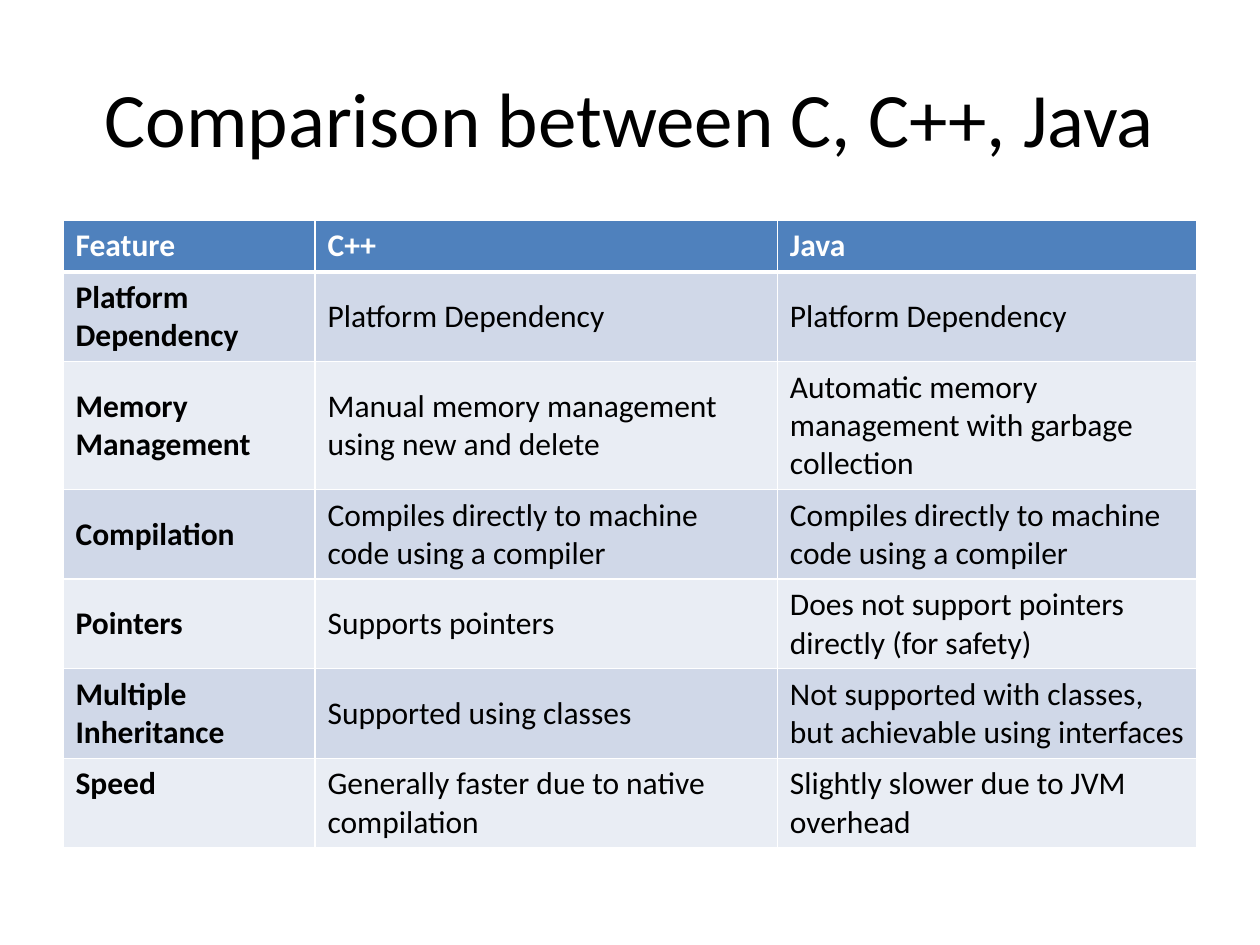
"""Build a slide that compares programming language features in a table."""
import pptx
import pptx.dml.color
import pptx.enum.text
import pptx.oxml
import pptx.oxml.ns
import pptx.util

Inches = pptx.util.Inches
RGBColor = pptx.dml.color.RGBColor
ANCHOR = pptx.enum.text.MSO_ANCHOR

BLACK = RGBColor(0x00, 0x00, 0x00)
WHITE = RGBColor(0xFF, 0xFF, 0xFF)
HEADER_BLUE = RGBColor(0x4F, 0x81, 0xBD)
BAND_DARK = RGBColor(0xD0, 0xD8, 0xE8)
BAND_LIGHT = RGBColor(0xE9, 0xED, 0xF4)

FONT = "Calibri"
COLUMN_WIDTHS = (2, 3.67, 3.33)
ROW_HEIGHT = 0.41
THIN, THICK = 1, 3

FEATURES = (
    ("Feature", "C++", "Java"),
    ("Platform Dependency", "Platform Dependency", "Platform Dependency"),
    ("Memory Management", "Manual memory management using new and delete",
     "Automatic memory management with garbage collection"),
    ("Compilation", "Compiles directly to machine code using a compiler",
     "Compiles directly to machine code using a compiler"),
    ("Pointers", "Supports pointers",
     "Does not support pointers directly (for safety)"),
    ("Multiple Inheritance", "Supported using classes",
     "Not supported with classes, but achievable using interfaces"),
    ("Speed", "Generally faster due to native compilation",
     "Slightly slower due to JVM overhead"),
)
TOP_ANCHORED = {(0, 0), (0, 1), (0, 2), (5, 0), (5, 2), (6, 0), (6, 1), (6, 2)}


def apply_format(target, values):
    """Set each named attribute of the target."""
    for attribute, value in values.items():
        setattr(target, attribute, value)


def format_font(font, size, color, bold):
    """Apply the slide's typeface with a size, colour and weight."""
    apply_format(font, {"name": FONT, "size": pptx.util.Pt(size), "bold": bold})
    font.color.rgb = color


def add_title(slide, wording):
    """Place and format the title placeholder."""
    title = slide.shapes.title
    apply_format(title, {"left": Inches(0.5), "top": Inches(0.3),
                         "width": Inches(9), "height": Inches(1.25)})
    title.text_frame.text = wording
    title.text_frame.vertical_anchor = ANCHOR.MIDDLE
    heading = title.text_frame.paragraphs[0]
    heading.alignment = pptx.enum.text.PP_ALIGN.CENTER
    format_font(heading.runs[0].font, 44, BLACK, False)


def set_borders(cell, top, bottom):
    """Draw white borders around a cell, with given top and bottom widths."""
    properties = cell._tc.get_or_add_tcPr()
    for side, width in (("L", THIN), ("R", THIN), ("T", top), ("B", bottom)):
        properties.append(pptx.oxml.parse_xml(
            f'<a:ln{side} {pptx.oxml.ns.nsdecls("a")} w="{pptx.util.Pt(width)}">'
            f'<a:solidFill><a:srgbClr val="{WHITE}"/></a:solidFill></a:ln{side}>'))


def fill_cell(cell, wording, row, column):
    """Write one cell and style it by its place in the table."""
    is_header = row == 0
    set_borders(cell, THICK if row == 1 else THIN, THICK if is_header else THIN)
    cell.fill.solid()
    band = BAND_DARK if row % 2 else BAND_LIGHT
    cell.fill.fore_color.rgb = HEADER_BLUE if is_header else band
    cell.text = wording
    cell.vertical_anchor = ANCHOR.TOP if (row, column) in TOP_ANCHORED else ANCHOR.MIDDLE
    format_font(cell.text_frame.paragraphs[0].runs[0].font, 18,
                WHITE if is_header else BLACK, is_header or column == 0)


def add_comparison(slide):
    """Add the feature table, whose rows grow to fit their text."""
    comparison = slide.shapes.add_table(
        len(FEATURES), len(COLUMN_WIDTHS), Inches(0.5), Inches(1.75),
        Inches(sum(COLUMN_WIDTHS)), Inches(ROW_HEIGHT * len(FEATURES))).table
    for column, width in zip(comparison.columns, COLUMN_WIDTHS):
        column.width = Inches(width)
    for row, wordings in enumerate(FEATURES):
        comparison.rows[row].height = Inches(ROW_HEIGHT)
        for column, wording in enumerate(wordings):
            fill_cell(comparison.cell(row, column), wording, row, column)


def main():
    """Create and save the presentation."""
    deck = pptx.Presentation()
    apply_format(deck, {"slide_width": Inches(10), "slide_height": Inches(7.5)})
    slide = deck.slides.add_slide(deck.slide_layouts[5])
    add_title(slide, "Comparison between C, C++, Java")
    add_comparison(slide)
    deck.save("out.pptx")


if __name__ == "__main__":
    main()
